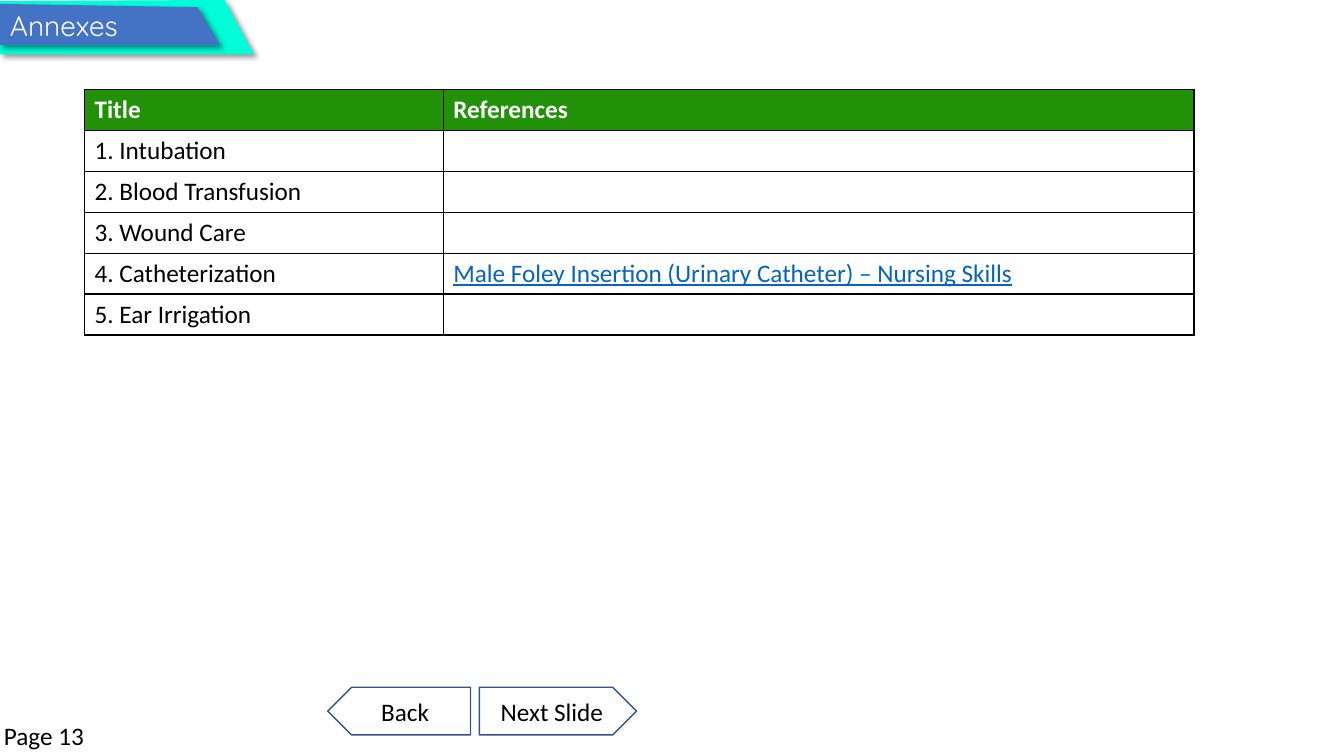
from lxml.etree import SubElement
from pptx import Presentation
from pptx.dml.color import RGBColor
from pptx.enum.shapes import MSO_SHAPE
from pptx.enum.text import MSO_ANCHOR, MSO_AUTO_SIZE, PP_ALIGN
from pptx.oxml import parse_xml
from pptx.oxml.ns import nsdecls, qn
from pptx.util import Cm, Pt

COLORS = {
    "white": "FFFFFF",
    "black": "000000",
    "teal": "03FCD8",
    "blue": "4472C4",
    "outline": "325491",
    "header": "219208",
    "link": "0563C1",
}
ROWS = [
    ("Title", "References"),
    ("1. Intubation", ""),
    ("2. Blood Transfusion", ""),
    ("3. Wound Care", ""),
    ("4. Catheterization", "Male Foley Insertion (Urinary Catheter) – Nursing Skills"),
    ("5. Ear Irrigation", ""),
]


def rgb(name):
    return RGBColor.from_string(COLORS[name])


def paint(s, fill):
    s.fill.solid()
    s.fill.fore_color.rgb = rgb(fill)


def add_run(p, text, color="black", size=18, font="Calibri"):
    r = p.add_run()
    r.text = text
    r.font.name = font
    r.font.size = Pt(size)
    r.font.color.rgb = rgb(color)
    return r


def add_label(slide, box, text, **style):
    tf = slide.shapes.add_textbox(*map(Cm, box)).text_frame
    tf.word_wrap = True
    tf.auto_size = MSO_AUTO_SIZE.SHAPE_TO_FIT_TEXT
    add_run(tf.paragraphs[0], text, **style)


def add_shadow(s):
    effects = SubElement(s.element.spPr, qn("a:effectLst"))
    effects.append(parse_xml(
        f'<a:outerShdw {nsdecls("a")} blurRad="{Pt(4)}" dist="{Pt(3)}" dir="2700000" '
        f'algn="tl" rotWithShape="0"><a:srgbClr val="{COLORS["black"]}">'
        '<a:alpha val="40000"/></a:srgbClr></a:outerShdw>'))


def add_band(slide, left, top, points, fill):
    corners = [(Cm(left + x), Cm(top + y)) for x, y in points]
    builder = slide.shapes.build_freeform(*corners[0])
    builder.add_line_segments(corners[1:], close=True)
    s = builder.convert_to_shape()
    paint(s, fill)
    s.line.fill.background()
    add_shadow(s)


def add_banner(slide, left, top, width, height):
    add_band(slide, left, top,
             [(width - 0.74, 0), (width, height), (0, height), (0, 0.03)], "teal")
    inner_right, inner_bottom = width - 0.86, height - 0.23
    add_band(slide, left, top,
             [(inner_right - 0.56, 0.18), (inner_right, inner_bottom),
              (0, inner_bottom), (0, 0.1)], "blue")
    add_label(slide, (left, top + 0.08, 8.03, 1.12), "Annexes",
              color="white", size=20, font="Quicksand")


def add_borders(cell):
    tc_pr = cell._tc.get_or_add_tcPr()
    for side in ("lnL", "lnR", "lnT", "lnB"):
        ln = SubElement(tc_pr, qn(f"a:{side}"), w=str(Pt(1)))
        fill = SubElement(ln, qn("a:solidFill"))
        SubElement(fill, qn("a:srgbClr"), val=COLORS["black"])


def add_references(slide, left, top, width, height):
    table = slide.shapes.add_table(
        len(ROWS), 2, *map(Cm, (left, top, width, height))).table
    table.horz_banding = False
    title_width = 9.04
    table.columns[0].width = Cm(title_width)
    table.columns[1].width = Cm(width - title_width)
    for i, row in enumerate(ROWS):
        table.rows[i].height = Cm(height / len(ROWS))
        for j, text in enumerate(row):
            cell = table.cell(i, j)
            add_borders(cell)
            paint(cell, "white" if i else "header")
            p = cell.text_frame.paragraphs[0]
            p.font.size = Pt(18)
            if not text:
                continue
            is_link = i > 0 and j == 1
            r = add_run(p, text, "white" if i == 0 else "link" if is_link else "black")
            r.font.bold = i == 0
            r.font.underline = is_link


def add_button(slide, box, text, flipped=False):
    s = slide.shapes.add_shape(MSO_SHAPE.PENTAGON, *map(Cm, box))
    s.shadow.inherit = False
    paint(s, "white")
    s.line.color.rgb = rgb("outline")
    s.line.width = Pt(1)
    if flipped:
        s.element.spPr.get_or_add_xfrm().set("flipH", "1")
    tf = s.text_frame
    tf.vertical_anchor = MSO_ANCHOR.MIDDLE
    p = tf.paragraphs[0]
    p.alignment = PP_ALIGN.CENTER
    add_run(p, text)


def add_navigation(slide, left, top, width, height):
    back_width, next_width = 3.6, 3.96
    add_button(slide, (left, top, back_width, height), "Back", flipped=True)
    add_button(slide, (left + width - next_width, top, next_width, height), "Next Slide")


def main():
    prs = Presentation()
    prs.slide_width, prs.slide_height = Cm(33.87), Cm(19.05)
    slide = prs.slides.add_slide(prs.slide_layouts[6])
    add_navigation(slide, 8.26, 17.32, 7.78, 1.2)
    add_label(slide, (-0.15, 18.03, 3.28, 1.02), "Page 13")
    add_references(slide, 2.13, 2.26, 27.96, 6.18)
    add_banner(slide, 0, 0, 6.4, 1.37)
    prs.save("out.pptx")


if __name__ == "__main__":
    main()
